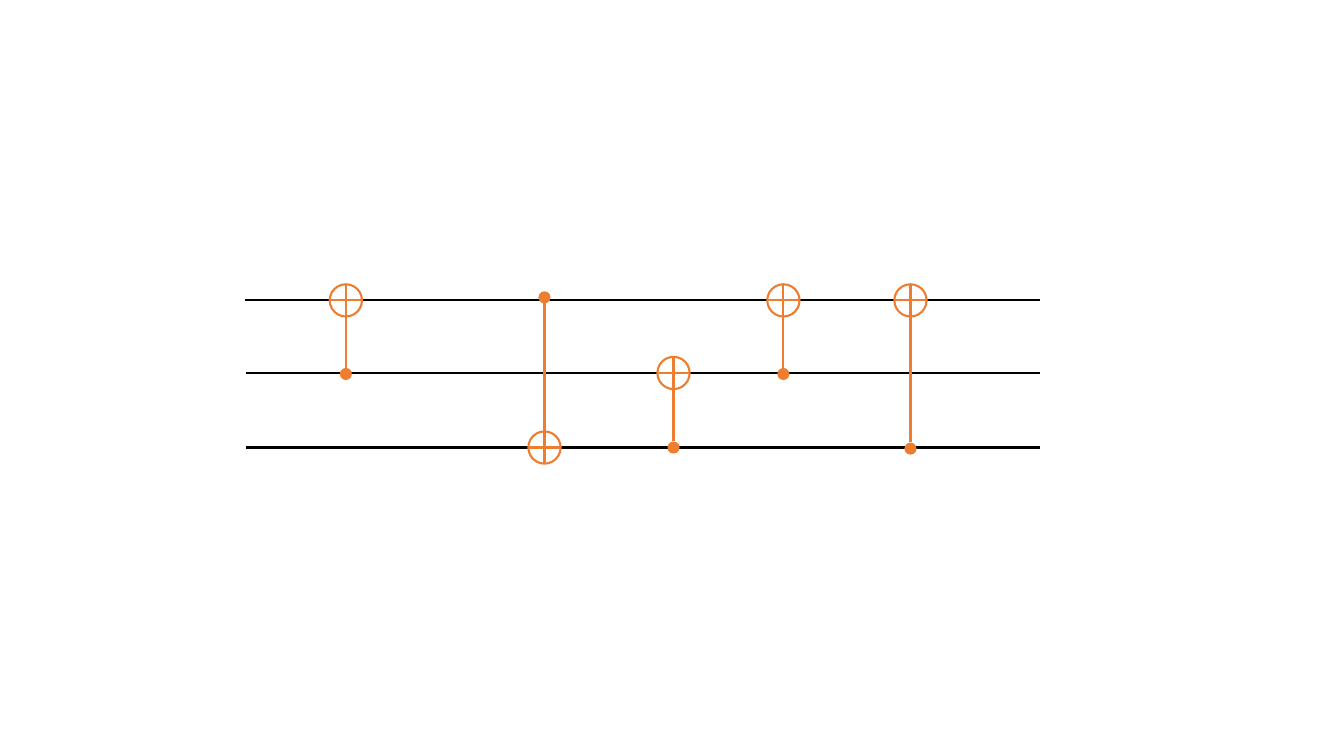
import pptx
import pptx.util
import pptx.dml.color
import pptx.enum.shapes
import pptx.oxml.ns
import lxml.etree

Inches = pptx.util.Inches
SHAPE = pptx.enum.shapes.MSO_SHAPE
BLACK, WHITE, ORANGE = "000000", "FFFFFF", "ED7D31"
TARGET_SIZE, CONTROL_SIZE = 0.32, 0.12

prs = pptx.Presentation()
prs.slide_width, prs.slide_height = Inches(13.33), Inches(7.5)
slide = prs.slides.add_slide(prs.slide_layouts[6])
circuit = slide.shapes.add_group_shape()


def add_line(x1, y1, x2, y2, color):
    line = circuit.shapes.add_connector(
        pptx.enum.shapes.MSO_CONNECTOR.STRAIGHT,
        Inches(x1), Inches(y1), Inches(x2), Inches(y2))
    line.line.color.rgb = pptx.dml.color.RGBColor.from_string(color)
    line.line.width = pptx.util.Pt(1.5)
    lxml.etree.SubElement(line._element.spPr, pptx.oxml.ns.qn("a:effectLst"))


def add_node(preset, x, y, size, fill, outline=None):
    """Add a round node centred on (x, y)."""
    node = circuit.shapes.add_shape(
        preset, Inches(x - size / 2), Inches(y - size / 2), Inches(size), Inches(size))
    node.shadow.inherit = False
    node.fill.solid()
    node.fill.fore_color.rgb = pptx.dml.color.RGBColor.from_string(fill)
    if outline:
        node.line.color.rgb = pptx.dml.color.RGBColor.from_string(outline)
        node.line.width = pptx.util.Pt(1.5)
    else:
        node.line.fill.background()


# Qubit wires, top to bottom
wires = [2.98, 3.7, 4.44]
for wire_y, wire_start in zip(wires, (2.43, 2.44, 2.44)):
    add_line(wire_start, wire_y, 10.32, wire_y, BLACK)

# CNOT gates: x, target wire, control y
cnot_gates = [
    (3.43, 0, 3.71),
    (5.4, 2, 2.95),
    (6.68, 1, 4.44),
    (7.77, 0, 3.71),
    (9.03, 0, 4.45),
]
for gate_x, target_wire, control_y in cnot_gates:
    target_y = wires[target_wire]
    direction = 1 if control_y > target_y else -1
    add_node(SHAPE.FLOWCHART_OR, gate_x, target_y, TARGET_SIZE, WHITE, ORANGE)
    add_node(SHAPE.FLOWCHART_CONNECTOR, gate_x, control_y, CONTROL_SIZE, ORANGE)
    add_line(gate_x, control_y - direction * CONTROL_SIZE / 2,
             gate_x, target_y + direction * TARGET_SIZE / 2, ORANGE)

prs.save("out.pptx")
